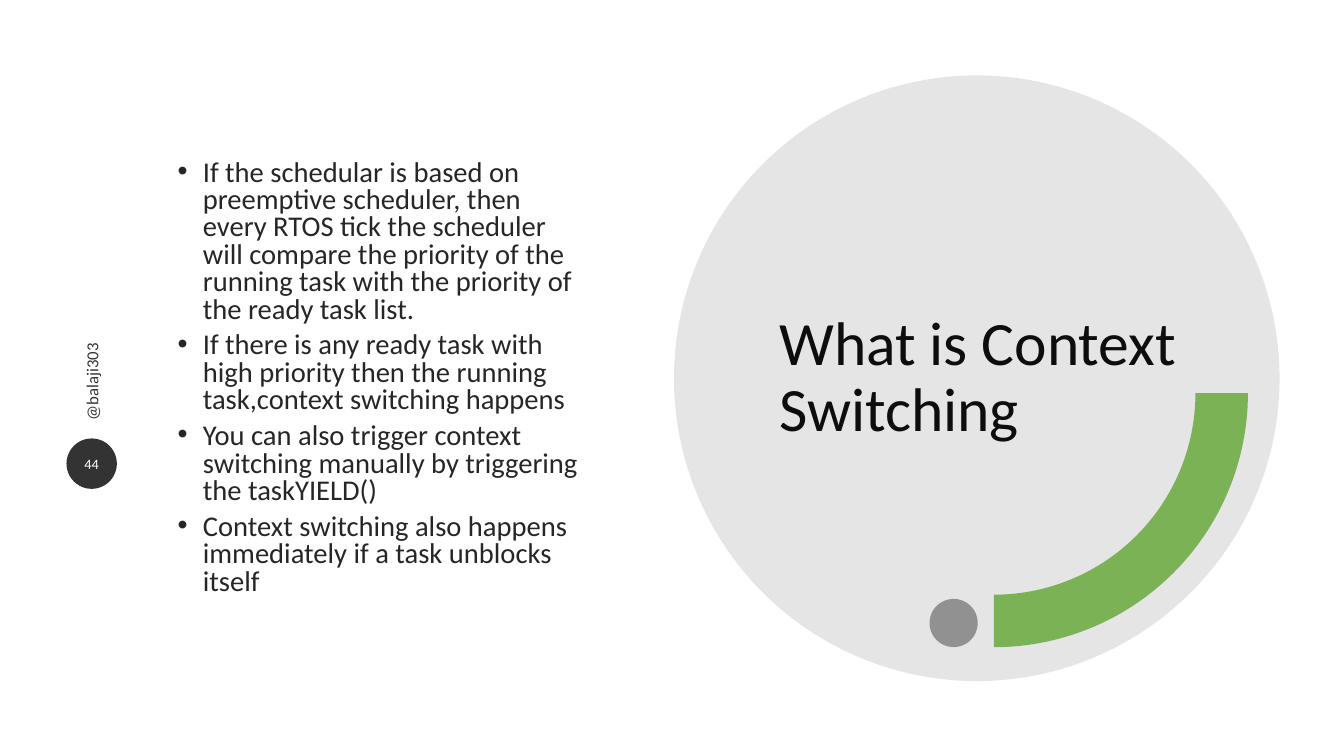
"""Build a slide on context switching, with a bullet list and a title in a circle."""
import math

import lxml.etree
import pptx
import pptx.dml.color
import pptx.enum.shapes
import pptx.enum.text
import pptx.oxml.ns
import pptx.util

Pt = pptx.util.Pt
qn = pptx.oxml.ns.qn
ALIGN = pptx.enum.text.PP_ALIGN

TITLE = "What is Context Switching"
POINTS = [
    "If the schedular is based on preemptive scheduler, then every RTOS tick the scheduler "
    "will compare the priority of the running task with the priority of the ready task list.",
    "If there is any ready task with high priority then the running task,context switching happens",
    "You can also trigger context switching manually by triggering the taskYIELD()",
    "Context switching also happens immediately if a task unblocks itself",
]
HANDLE = "@balaji303"
NUMBER = "44"

COLORS = {
    "disc": "808080", "dot": "595959", "arc": "70AD47", "badge": "000000",
    "title": "0D0D0D", "body": "262626", "handle": "000000", "number": "FFFFFF",
}
ALPHA = {"disc": 20, "dot": 60, "arc": 90, "badge": 80, "handle": 80}
OVALS = {
    "disc": (697.7, 270.2, 432.6),
    "dot": (681.2, 445, 34.4),
    "badge": (65.5, 331.2, 36),
}
ARC = {"x": 709.9, "y": 280.8, "outer": 181.5, "inner": 144}
STEPS = 60
BOXES = {
    "title": (549.4, 113, 319.7, 314.6),
    "body": (115.2, 113, 309.6, 314.6),
    "handle": (-71.3, 156.2, 273.6, 28.8),
}
FORMATS = {
    "title": {"size": Pt(44), "line": 0.9, "align": ALIGN.LEFT},
    "body": {"size": Pt(20.4), "line": 0.8, "align": ALIGN.LEFT},
    "handle": {"size": Pt(12), "line": 1.0, "align": ALIGN.LEFT},
    "number": {"size": Pt(10.2), "line": 1.0, "align": ALIGN.CENTER},
}


def fade(shape, name):
    """Make the first colour of a shape partly transparent."""
    color = next(shape.element.iter(qn("a:srgbClr")))
    lxml.etree.SubElement(color, qn("a:alpha"), val=str(ALPHA[name] * 1000))


def paint(shape, name):
    """Give a shape its fill, with no line or shadow."""
    shape.shadow.inherit = False
    shape.fill.solid()
    shape.fill.fore_color.rgb = pptx.dml.color.RGBColor.from_string(COLORS[name])
    shape.line.fill.background()
    fade(shape, name)


def place(shape, name):
    """Move a text shape to its box."""
    for side, value in zip(("left", "top", "width", "height"), BOXES[name]):
        setattr(shape, side, Pt(value))


def bullet(para):
    """Add a hanging bullet to a paragraph."""
    props = para._p.get_or_add_pPr()
    props.set("marL", str(Pt(22.5)))
    props.set("indent", str(-Pt(18)))
    lxml.etree.SubElement(props, qn("a:buFont"), typeface="Arial")
    lxml.etree.SubElement(props, qn("a:buChar"), char="•")


def write(shape, name, lines, listed=False):
    """Fill a shape with formatted paragraphs."""
    style = FORMATS[name]
    frame = shape.text_frame
    setup = {
        "word_wrap": True,
        "auto_size": pptx.enum.text.MSO_AUTO_SIZE.NONE,
        "vertical_anchor": pptx.enum.text.MSO_ANCHOR.MIDDLE,
    }
    for key, value in setup.items():
        setattr(frame, key, value)
    for i, line in enumerate(lines):
        para = frame.add_paragraph() if i else frame.paragraphs[0]
        if listed:
            bullet(para)
        layout = {"alignment": style["align"], "line_spacing": style["line"],
                  "space_before": Pt(0), "space_after": Pt(6)}
        for key, value in layout.items():
            setattr(para, key, value)
        run = para.add_run()
        run.text = line
        for key, value in {"name": "Calibri", "size": style["size"]}.items():
            setattr(run.font, key, value)
        run.font.color.rgb = pptx.dml.color.RGBColor.from_string(COLORS[name])


def draw_arc(shapes):
    """Draw the quarter ring."""
    turns = [math.pi / 2 * i / STEPS for i in range(STEPS + 1)]
    rim = [(ARC["outer"], turn) for turn in turns]
    rim += [(ARC["inner"], turn) for turn in reversed(turns)]
    spots = [(Pt(ARC["x"] + r * math.sin(turn)), Pt(ARC["y"] + r * math.cos(turn)))
             for r, turn in rim]
    outline = shapes.build_freeform(*spots[0])
    outline.add_line_segments(spots[1:], close=True)
    paint(outline.convert_to_shape(), "arc")


def main():
    """Build and save the slide."""
    deck = pptx.Presentation()
    deck.slide_width, deck.slide_height = Pt(960), Pt(540)
    slide = deck.slides.add_slide(deck.slide_layouts[1])
    shapes = slide.shapes
    title, body = shapes.title, slide.placeholders[1]

    ovals = {}
    for name, (x, y, size) in OVALS.items():
        oval = shapes.add_shape(pptx.enum.shapes.MSO_SHAPE.OVAL,
                                Pt(x - size / 2), Pt(y - size / 2), Pt(size), Pt(size))
        paint(oval, name)
        ovals[name] = oval
    draw_arc(shapes)

    badge = ovals["badge"]
    for side in ("left", "right", "top", "bottom"):
        setattr(badge.text_frame, "margin_" + side, 0)
    write(badge, "number", [NUMBER])

    handle = shapes.add_textbox(0, 0, 0, 0)
    place(handle, "handle")
    handle.rotation = 270
    write(handle, "handle", [HANDLE])
    fade(handle, "handle")

    for shape, name, lines in ((title, "title", [TITLE]), (body, "body", POINTS)):
        place(shape, name)
        write(shape, name, lines, listed=name == "body")
        shapes.element.append(shape.element)

    deck.save("out.pptx")


if __name__ == "__main__":
    main()
